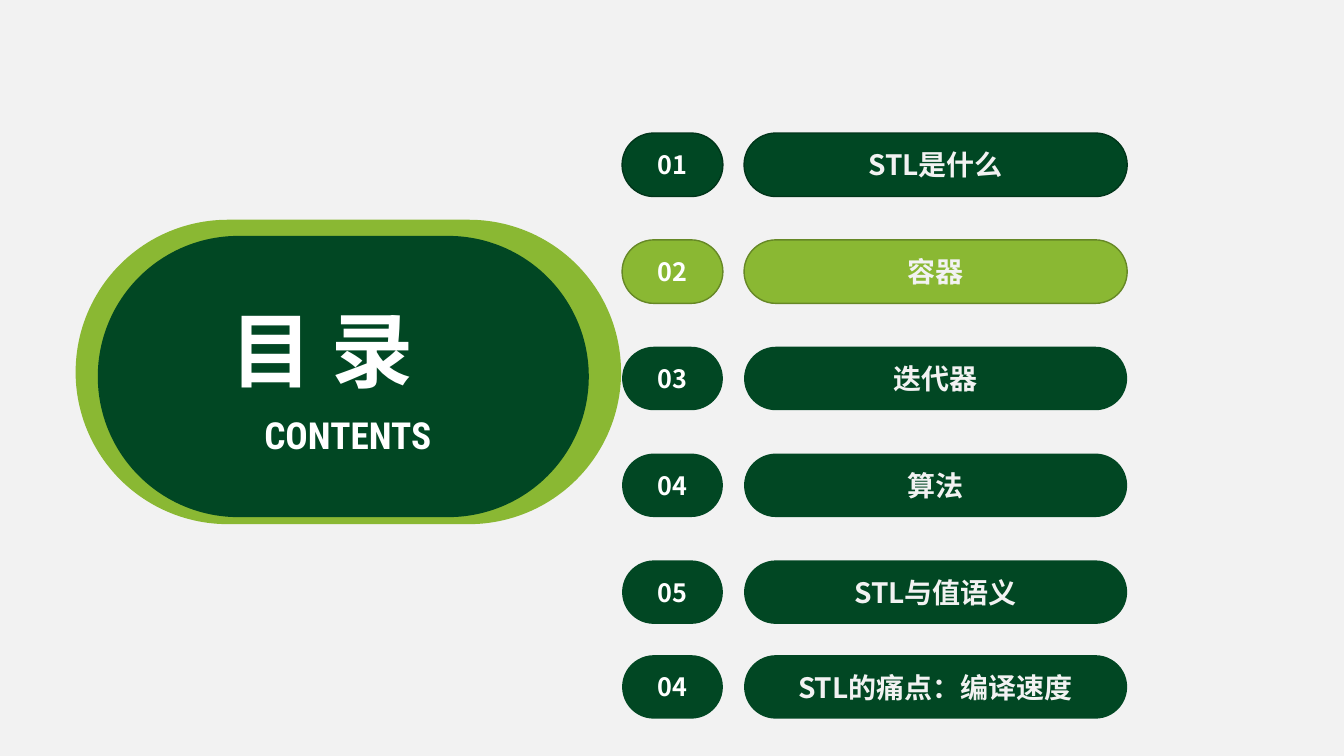
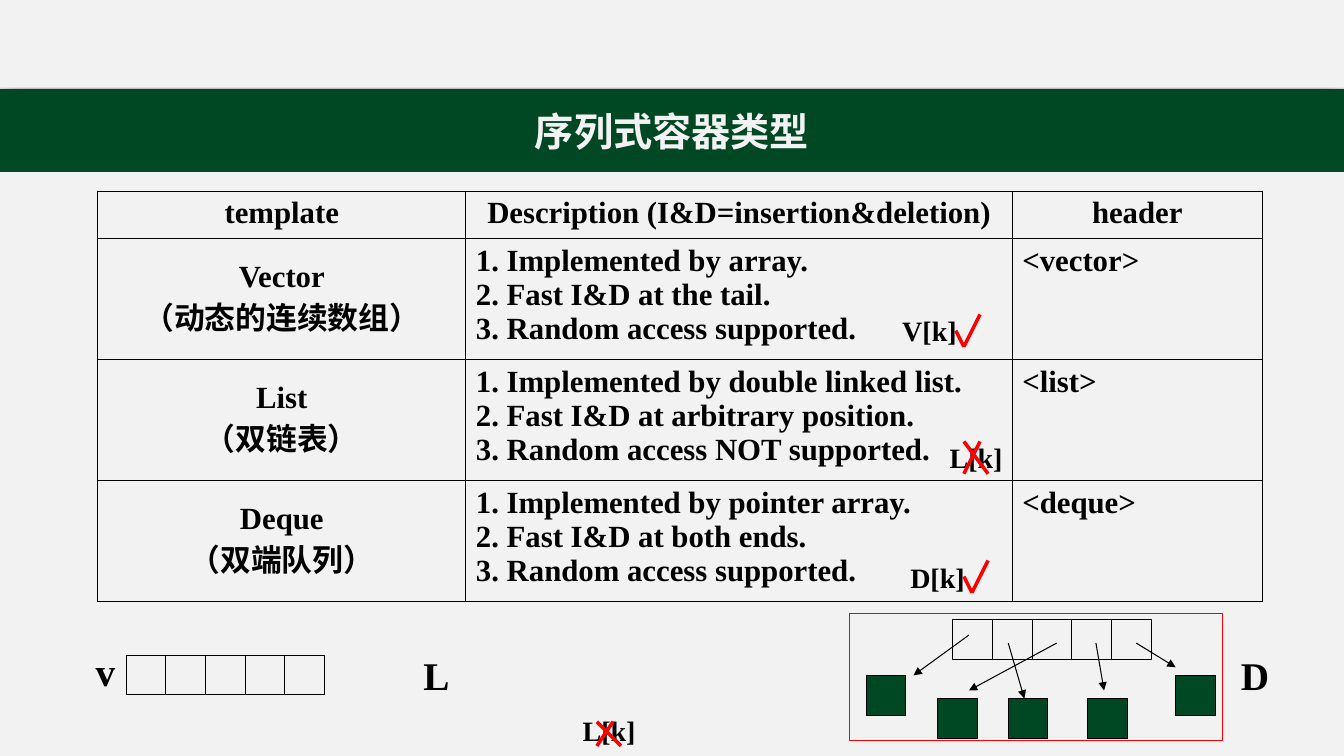
from dataclasses import dataclass
from itertools import pairwise
from typing import NamedTuple

from lxml.etree import SubElement as Sub
from pptx import Presentation
from pptx.dml.color import RGBColor as Rgb
from pptx.enum.shapes import MSO_CONNECTOR as Link, MSO_SHAPE as Kind
from pptx.enum.text import MSO_ANCHOR as Anchor, MSO_AUTO_SIZE as Fit, PP_ALIGN as Align
from pptx.oxml.ns import qn
from pptx.presentation import Presentation as Deck
from pptx.shapes.autoshape import Shape
from pptx.shapes.connector import Connector
from pptx.slide import Slide
from pptx.table import _Cell as Cell
from pptx.text.text import TextFrame
from pptx.util import Emu, Inches, Pt


@dataclass(frozen=True)
class Theme:
    page: str = "F2F2F2"
    white: str = "FFFFFF"
    black: str = "000000"
    red: str = "FF0000"
    green: str = "004723"
    deep: str = "014723"
    lime: str = "8AB833"
    edge: str = "00351A"
    olive: str = "668826"
    sans: str = "Noto Sans CJK SC"
    narrow: str = "Roboto Condensed"
    serif: str = "Times New Roman"
    hero: float = 58.6
    sub: float = 26.6
    head: float = 28
    cell: float = 22
    item: float = 20
    num: float = 18
    thin: float = 0.75
    edged: float = 1
    mark: float = 2.5


T = Theme()


class Box(NamedTuple):
    x: float
    y: float
    w: float
    h: float

    def lengths(self) -> tuple[Emu, ...]:
        return tuple(Inches(v) for v in self)


class Type(NamedTuple):
    size: float
    color: str
    face: str


class Item(NamedTuple):
    num: str
    text: str
    y: float
    fill: str = T.deep
    line: str | None = None


class Tag(NamedTuple):
    text: str
    x: float
    mid: float
    size: float


class Stroke(NamedTuple):
    x1: float
    y1: float
    x2: float
    y2: float


class Row(NamedTuple):
    name: list[str]
    facts: list[str]
    head: str


HERO = Type(T.hero, T.white, T.sans)
SUB = Type(T.sub, T.white, T.narrow)
HEAD = Type(T.head, T.page, T.sans)
NUM = Type(T.num, T.white, T.sans)
ITEM = Type(T.item, T.page, T.sans)
CELL = Type(T.cell, T.black, T.serif)

FIRST, STEP = 1.32, 1.06
ITEMS = [
    Item("01", "STL是什么", FIRST, T.green, T.edge),
    Item("02", "容器", FIRST + STEP, T.lime, T.olive),
    Item("03", "迭代器", FIRST + 2 * STEP),
    Item("04", "算法", FIRST + 3 * STEP),
    Item("05", "STL与值语义", FIRST + 4 * STEP),
    Item("04", "STL的痛点：编译速度", 6.5),
]

COLS = [3.65, 5.42, 2.48]
ROWS = [
    Row(["template"], ["Description (I&D=insertion&deletion)"], "header"),
    Row(["Vector", "（动态的连续数组）"],
        ["1. Implemented by array.", "2. Fast I&D at the tail.",
         "3. Random access supported."], "<vector>"),
    Row(["List", "（双链表）"],
        ["1. Implemented by double linked list.",
         "2. Fast I&D at arbitrary position.",
         "3. Random access NOT supported."], "<list>"),
    Row(["Deque", "（双端队列）"],
        ["1. Implemented by pointer array.", "2. Fast I&D at both ends.",
         "3. Random access supported."], "<deque>"),
]
TAGS = [
    Tag("L", 4.1, 6.69, T.head),
    Tag("D", 12.21, 6.7, T.head),
    Tag("v", 0.85, 6.66, T.head),
    Tag("L[k]", 5.68, 7.25, T.item),
    Tag("L[k]", 9.32, 4.54, T.item),
    Tag("V[k]", 8.85, 3.28, T.item),
    Tag("D[k]", 8.93, 5.73, T.item),
]
TICKS = [(9.48, 3.12), (9.56, 5.56)]
CROSSES = [(5.92, 7.16, 0.24), (9.56, 4.38, 0.32)]

COUNT = 5
SIDE = 1.97 / COUNT
STRIPS = [(1.25, 6.5), (9.45, 6.15)]
BLOCKS = [(8.59, 6.7), (9.3, 6.93), (10, 6.93), (10.79, 6.93), (11.66, 6.7)]
ARROWS = [
    Stroke(9.61, 6.3, 9.06, 6.7),
    Stroke(10, 6.38, 10.16, 6.93),
    Stroke(10.48, 6.38, 9.61, 6.85),
    Stroke(10.87, 6.38, 10.95, 6.85),
    Stroke(11.27, 6.38, 11.66, 6.62),
]


def write(frame: TextFrame, lines: list[str], kind: Type,
          align: Align = Align.CENTER) -> None:
    for i, line in enumerate(lines):
        para = frame.add_paragraph() if i else frame.paragraphs[0]
        para.alignment = align
        run = para.add_run()
        run.text = line
        font = run.font
        font.size, font.bold, font.name = Pt(kind.size), True, kind.face
        font.color.rgb = Rgb.from_string(kind.color)
        Sub(font._element, qn("a:ea"), typeface=T.sans)


def paint(shape: Shape, fill: str | None, line: str | None, width: float) -> None:
    if fill:
        shape.fill.solid()
        shape.fill.fore_color.rgb = Rgb.from_string(fill)
    else:
        shape.fill.background()
    if line:
        shape.line.color.rgb = Rgb.from_string(line)
        shape.line.width = Pt(width)
    else:
        shape.line.fill.background()


def block(slide: Slide, box: Box, fill: str | None = None, line: str | None = None,
          width: float = T.thin, kind: Kind = Kind.RECTANGLE) -> Shape:
    shape = slide.shapes.add_shape(kind, *box.lengths())
    shape.shadow.inherit = False
    paint(shape, fill, line, width)
    return shape


def pill(slide: Slide, box: Box, fill: str, line: str | None = None) -> Shape:
    shape = block(slide, box, fill, line, T.edged, Kind.ROUNDED_RECTANGLE)
    shape.adjustments[0] = 0.5
    shape.text_frame.vertical_anchor = Anchor.MIDDLE
    return shape


def title(slide: Slide, box: Box, text: str, kind: Type, anchor: Anchor) -> Shape:
    """Fill the title placeholder and bring it to the front."""
    shape = slide.shapes.title
    shape.left, shape.top, shape.width, shape.height = box.lengths()
    frame = shape.text_frame
    frame.auto_size, frame.word_wrap = Fit.NONE, True
    frame.vertical_anchor = anchor
    write(frame, [text], kind)
    shape.element.getparent().append(shape.element)
    return shape


def label(slide: Slide, box: Box, text: str, kind: Type, align: Align) -> None:
    frame = slide.shapes.add_textbox(*box.lengths()).text_frame
    frame.word_wrap = True
    frame.vertical_anchor = Anchor.MIDDLE
    frame.margin_top = frame.margin_bottom = 0
    write(frame, [text], kind, align)


def draw(slide: Slide, ends: Stroke, color: str, width: float) -> Connector:
    line = slide.shapes.add_connector(Link.STRAIGHT, *(Inches(v) for v in ends))
    line.line.color.rgb = Rgb.from_string(color)
    line.line.width = Pt(width)
    Sub(line.element.spPr, qn("a:effectLst"))
    return line


def arrow(slide: Slide, ends: Stroke) -> None:
    line = draw(slide, ends, T.black, T.thin)
    Sub(line.line._get_or_add_ln(), qn("a:tailEnd"), type="triangle")


def tick(slide: Slide, x: float, y: float) -> None:
    points = [(x, y + 0.16), (x + 0.08, y + 0.32), (x + 0.24, y)]
    for start, end in pairwise(points):
        draw(slide, Stroke(*start, *end), T.red, T.mark)


def cross(slide: Slide, x: float, y: float, h: float) -> None:
    draw(slide, Stroke(x, y, x + 0.24, y + h), T.red, T.mark)
    draw(slide, Stroke(x, y + h, x + 0.16, y), T.red, T.mark)


def shade(shape: Shape) -> None:
    """Cast a soft shadow straight down."""
    glow = Sub(shape.element.spPr.find(qn("a:effectLst")), qn("a:outerShdw"),
               blurRad=str(Pt(18)), dist=str(Pt(4)), dir="5400000",
               algn="t", rotWithShape="0")
    color = Sub(glow, qn("a:srgbClr"), val=T.black)
    Sub(color, qn("a:alpha"), val="29000")


def frame_cell(cell: Cell, top: float, low: float) -> None:
    props = cell._tc.get_or_add_tcPr()
    for side, width in {"L": T.thin, "R": T.thin, "T": top, "B": low}.items():
        line = Sub(props, qn(f"a:ln{side}"), w=str(Pt(width)))
        Sub(Sub(line, qn("a:solidFill")), qn("a:srgbClr"), val=T.black)
    cell.fill.background()


def grid(slide: Slide, box: Box) -> None:
    table = slide.shapes.add_table(len(ROWS), len(COLS), *box.lengths()).table
    table.first_row = table.horz_banding = False
    for col, width in zip(table.columns, COLS):
        col.width = Inches(width)
    last = len(ROWS) - 1
    for r, row in enumerate(ROWS):
        table.rows[r].height = Inches(1.2 if r else 0.47)
        for c, lines in enumerate([row.name, row.facts, [row.head]]):
            cell = table.cell(r, c)
            mid = r == 0 or c == 0
            write(cell.text_frame, lines, CELL, Align.CENTER if mid else Align.LEFT)
            cell.vertical_anchor = Anchor.MIDDLE if r and c == 0 else Anchor.TOP
            frame_cell(cell, T.edged if r < 2 else T.thin,
                       T.edged if r in (0, last) else T.thin)


def contents(slide: Slide) -> None:
    pill(slide, Box(0.75, 2.18, 5.41, 3.02), T.lime)
    pill(slide, Box(0.97, 2.34, 4.87, 2.79), T.deep)
    for item in ITEMS:
        for x, w, text, kind in ((6.17, 1, item.num, NUM), (7.38, 3.8, item.text, ITEM)):
            shape = pill(slide, Box(x, item.y, w, 0.63), item.fill, item.line)
            write(shape.text_frame, [text], kind)
    label(slide, Box(2.32, 4.04, 2.26, 0.55), "CONTENTS", SUB, Align.CENTER)
    title(slide, Box(2.15, 2.92, 2.09, 1.09), "目 录", HERO, Anchor.TOP)


def types(slide: Slide) -> None:
    shade(block(slide, Box(0, 0, 13.33, 0.87), T.page))
    band = title(slide, Box(0, 0.89, 13.33, 0.81), "序列式容器类型", HEAD, Anchor.MIDDLE)
    paint(band, T.green, T.green, T.edged)
    grid(slide, Box(0.97, 1.9, sum(COLS), 4.07))
    for tag in TAGS:
        label(slide, Box(tag.x, tag.mid - 0.25, 0.9, 0.5), tag.text,
              Type(tag.size, T.black, T.serif), Align.LEFT)
    for spot in CROSSES:
        cross(slide, *spot)
    for spot in TICKS:
        tick(slide, *spot)
    for x, y in STRIPS:
        for i in range(COUNT):
            block(slide, Box(x + i * SIDE, y, SIDE, SIDE), line=T.black)
    for x, y in BLOCKS:
        block(slide, Box(x, y, SIDE, SIDE), T.green, T.black)
    for ends in ARROWS:
        arrow(slide, ends)
    block(slide, Box(8.43, 6.09, 3.7, 1.26), line=T.red)


def main() -> None:
    deck: Deck = Presentation()
    deck.slide_width, deck.slide_height = Inches(13.33), Inches(7.5)
    back = deck.slide_master.background.fill
    back.solid()
    back.fore_color.rgb = Rgb.from_string(T.page)
    for build in (contents, types):
        build(deck.slides.add_slide(deck.slide_layouts[5]))
    deck.save("out.pptx")


if __name__ == "__main__":
    main()
